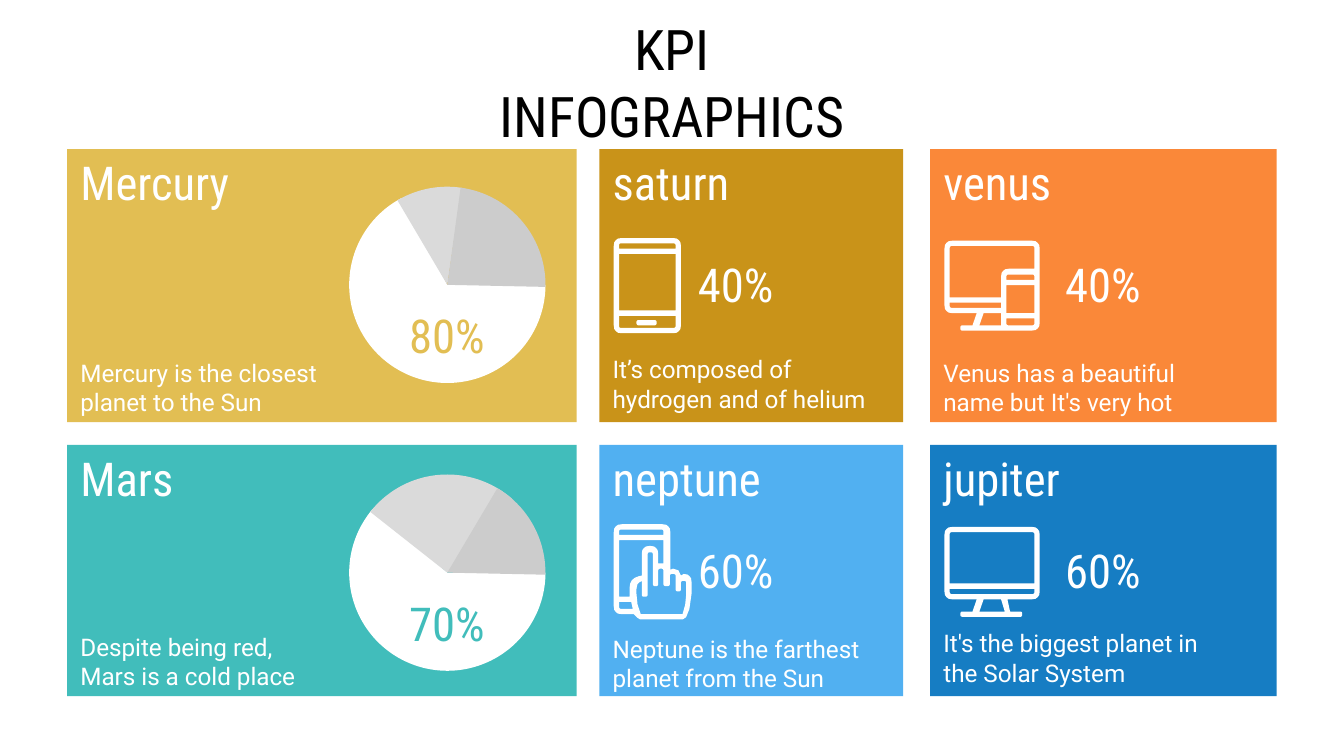
from dataclasses import dataclass
from typing import NamedTuple

import pptx
import pptx.dml.color
import pptx.enum.shapes
import pptx.enum.text
import pptx.util

Cm = pptx.util.Cm
RGBColor = pptx.dml.color.RGBColor
Shape = pptx.enum.shapes.MSO_SHAPE
Align = pptx.enum.text.PP_ALIGN

WHITE = RGBColor(0xFF, 0xFF, 0xFF)
BLACK = RGBColor(0x00, 0x00, 0x00)
SLICE_COLORS = (WHITE, RGBColor(0xDA, 0xDA, 0xDA), RGBColor(0xCC, 0xCC, 0xCC))
GOLD = RGBColor(0xE2, 0xBE, 0x53)
OCHRE = RGBColor(0xC9, 0x93, 0x19)
ORANGE = RGBColor(0xFA, 0x88, 0x39)
TEAL = RGBColor(0x41, 0xBD, 0xBB)
SKY = RGBColor(0x51, 0xB0, 0xF1)
BLUE = RGBColor(0x16, 0x7D, 0xC3)

HEADING_FONT = "Roboto Condensed"
BODY_FONT = "Roboto"
PIE_SIZE = 3.71
ICON_INSET = 0.27


class Corner(NamedTuple):
    """An icon corner in hundredths of a centimetre."""
    x: float
    y: float
    radius: float = 0


class Column(NamedTuple):
    left: float
    width: float
    percent_left: float


class Row(NamedTuple):
    top: float
    height: float
    pie_top: float
    icon_top: float


@dataclass
class Card:
    column: Column
    row: Row
    color: RGBColor
    name: str
    percent: str
    note: str
    note_top: float
    slices: tuple = ()
    icon: tuple = ()
    icon_drop: float = 0


def panel(left, top, right, bottom, upper=0, lower=0) -> list:
    """Corners of a rectangle with upper and lower corner radii."""
    return [(left, top, upper), (right, top, upper),
            (right, bottom, lower), (left, bottom, lower)]


# An icon is a tuple of shapes; a shape is an outer contour followed by its holes.
TABLET = (
    [panel(0, 0, 127, 180, 15, 15), panel(10, 10, 117, 20, upper=5),
     panel(10, 30, 117, 137), panel(10, 147, 117, 170, lower=5)],
    [panel(43, 155, 81, 165, 5, 5)],
)
MONITOR = ([
    [(0, 0, 15), (180, 0, 15), (180, 137, 15), (119, 137), (124, 160), (147, 160, 5),
     (147, 170, 5), (30, 170, 5), (30, 160, 5), (53, 160), (61, 137), (0, 137, 15)],
    panel(10, 10, 170, 107, upper=5),
    panel(10, 117, 170, 127, lower=5),
    [(107, 137), (114, 160), (66, 160), (74, 137)],
],)
MONITOR_AND_PHONE = ([
    [(0, 0, 15), (180, 0, 15), (180, 170, 15), (30, 170, 5), (30, 160, 5),
     (53, 160), (61, 137), (0, 137, 15)],
    [(10, 10, 5), (170, 10, 5), (170, 53), (107, 53, 15), (107, 107), (10, 107)],
    [(10, 117), (107, 117), (107, 127), (10, 127, 5)],
    [(107, 137), (107, 160), (66, 160), (74, 137)],
    panel(117, 64, 170, 74, upper=5),
    panel(117, 84, 170, 137),
    panel(117, 147, 170, 160, lower=5),
],)
TOUCH_PHONE = ([
    [(0, 0, 15), (107, 0, 15), (107, 86), (112, 84), (122, 87), (127, 97), (132, 94),
     (147, 94, 15), (147, 132), (143, 160), (137, 175), (132, 180, 4), (48, 180, 4),
     (43, 175), (38, 170), (0, 170, 15)],
    panel(10, 10, 94, 20, upper=5),
    [(10, 30), (94, 30), (94, 74), (84, 74), (84, 41, 15), (53, 41, 15), (53, 97),
     (30, 102, 18), (30, 137), (10, 137)],
    [(10, 147), (33, 147), (36, 160), (10, 160, 5)],
    [(64, 53, 5), (74, 53, 5), (74, 117, 5), (84, 117, 5), (84, 84, 5), (94, 84, 5),
     (94, 117, 5), (106, 117, 5), (106, 94, 5), (117, 94, 5), (117, 127, 5),
     (127, 127, 5), (127, 107, 5), (137, 107, 5), (137, 132), (135, 152), (130, 170),
     (51, 170), (45, 152), (43, 132), (43, 112, 10), (53, 107), (53, 137, 5),
     (64, 137, 5)],
],)

LEFT = Column(1.27, 9.63, 7.44)
MIDDLE = Column(11.33, 5.74, 12.9)
RIGHT = Column(17.58, 6.55, 19.84)
UPPER = Row(2.82, 5.16, 3.53, 4.5)
LOWER = Row(8.41, 4.75, 8.97, 9.91)

# Slices hold start and end angles in degrees, clockwise from the right.
CARDS = (
    Card(LEFT, LOWER, TEAL, "Mars", "70%", "Despite being red,\nMars is a cold place", 11.86,
         slices=((0, 220.45), (218.26, 311.27), (300.69, 1.22))),
    Card(LEFT, UPPER, GOLD, "Mercury", "80%", "Mercury is the closest planet to the Sun", 6.68,
         slices=((0, 241.77), (239.48, 278.35), (277.79, 1.22))),
    Card(RIGHT, UPPER, ORANGE, "venus", "40%", "Venus has a beautiful name but It's very hot", 6.68,
         icon=MONITOR_AND_PHONE, icon_drop=0.05),
    Card(RIGHT, LOWER, BLUE, "jupiter", "60%", "It's the biggest planet in the Solar System", 11.8,
         icon=MONITOR, icon_drop=0.05),
    Card(MIDDLE, UPPER, OCHRE, "saturn", "40%", "It’s composed of hydrogen and of helium", 6.62,
         icon=TABLET),
    Card(MIDDLE, LOWER, SKY, "neptune", "60%", "Neptune is the farthest planet from the Sun", 11.9,
         icon=TOUCH_PHONE),
)


def paint(shape, color: RGBColor) -> None:
    shape.shadow.inherit = False
    shape.fill.solid()
    shape.fill.fore_color.rgb = color
    shape.line.fill.background()


def add_text(shapes, text: str, left: float, top: float, width: float, height: float,
             size: float, color: RGBColor, font: str = HEADING_FONT, align=Align.LEFT) -> None:
    box = shapes.add_textbox(Cm(left), Cm(top), Cm(width), Cm(height))
    frame = box.text_frame
    frame.word_wrap = True
    frame.vertical_anchor = pptx.enum.text.MSO_ANCHOR.MIDDLE
    frame.margin_left = frame.margin_right = Cm(0.25)
    frame.margin_top = frame.margin_bottom = Cm(0.25)
    para = frame.paragraphs[0]
    para.alignment = align
    for index, line in enumerate(text.split("\n")):
        if index:
            para.add_line_break()
        span = para.add_run()
        span.text = line
        span.font.size = pptx.util.Pt(size)
        span.font.name = font
        span.font.color.rgb = color


def add_preset(shapes, kind, left: float, top: float, width: float, height: float,
               color: RGBColor):
    shape = shapes.add_shape(kind, Cm(left), Cm(top), Cm(width), Cm(height))
    paint(shape, color)
    return shape


def toward(start: Corner, end: Corner, distance: float) -> tuple:
    length = ((end.x - start.x) ** 2 + (end.y - start.y) ** 2) ** 0.5
    share = distance / length
    return start.x + share * (end.x - start.x), start.y + share * (end.y - start.y)


def rounded(contour: list) -> list:
    """Turn each corner with a radius into points along a quadratic curve."""
    corners = [Corner(*values) for values in contour]
    points = []
    for index, corner in enumerate(corners):
        if not corner.radius:
            points.append((corner.x, corner.y))
            continue
        start = toward(corner, corners[index - 1], corner.radius)
        end = toward(corner, corners[(index + 1) % len(corners)], corner.radius)
        for t in (0, 0.25, 0.5, 0.75, 1):
            points.append(tuple((1 - t) ** 2 * a + 2 * t * (1 - t) * b + t ** 2 * c
                                for a, b, c in zip(start, corner[:2], end)))
    return points


def add_icon(shapes, icon: tuple, left: float, top: float) -> None:
    for contours in icon:
        outlines = [rounded(contour) for contour in contours]
        builder = shapes.build_freeform(*outlines[0][0], scale=Cm(0.01))
        for index, points in enumerate(outlines):
            if index:
                builder.move_to(*points[0])
            builder.add_line_segments(points[1:], close=True)
        paint(builder.convert_to_shape(Cm(left), Cm(top)), WHITE)


def add_card(slide, card: Card) -> None:
    column, row = card.column, card.row
    shapes = slide.shapes.add_group_shape().shapes
    add_preset(shapes, Shape.RECTANGLE, column.left, row.top, column.width, row.height, card.color)
    add_text(shapes, card.name, column.left, row.top, 3.56, 1.24, 25, WHITE)
    add_text(shapes, card.note, column.left, card.note_top, 5.79, 1.27, 13, WHITE, BODY_FONT)
    for angles, color in zip(card.slices, SLICE_COLORS):
        pie = add_preset(shapes, Shape.PIE, 6.6, row.pie_top, PIE_SIZE, PIE_SIZE, color)
        for index, degrees in enumerate(angles):
            pie.adjustments[index] = degrees * 0.6
    add_icon(shapes, card.icon, column.left + ICON_INSET, row.icon_top + card.icon_drop)
    percent_top = row.pie_top + 2.18 if card.slices else row.icon_top + 0.25
    add_text(shapes, card.percent, column.percent_left, percent_top, 2.01, 1.24, 25,
             card.color if card.slices else WHITE, align=Align.CENTER)


def main() -> None:
    deck = pptx.Presentation()
    deck.slide_width, deck.slide_height = Cm(25.4), Cm(14.29)
    slide = deck.slides.add_slide(deck.slide_layouts[6])
    add_text(slide.shapes, "KPI INFOGRAPHICS", 8.64, 1.02, 8.13, 1.04, 30, BLACK,
             align=Align.CENTER)
    for card in CARDS:
        add_card(slide, card)
    deck.save("out.pptx")


if __name__ == "__main__":
    main()
